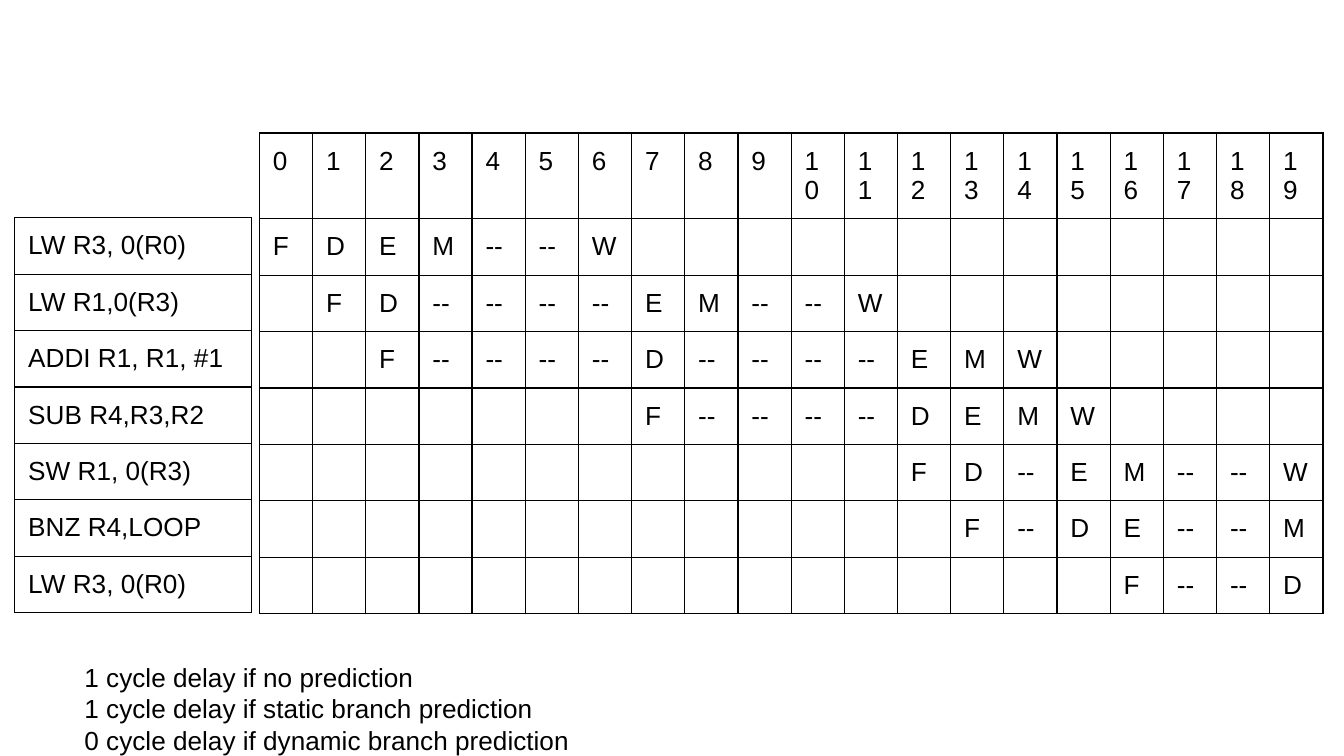
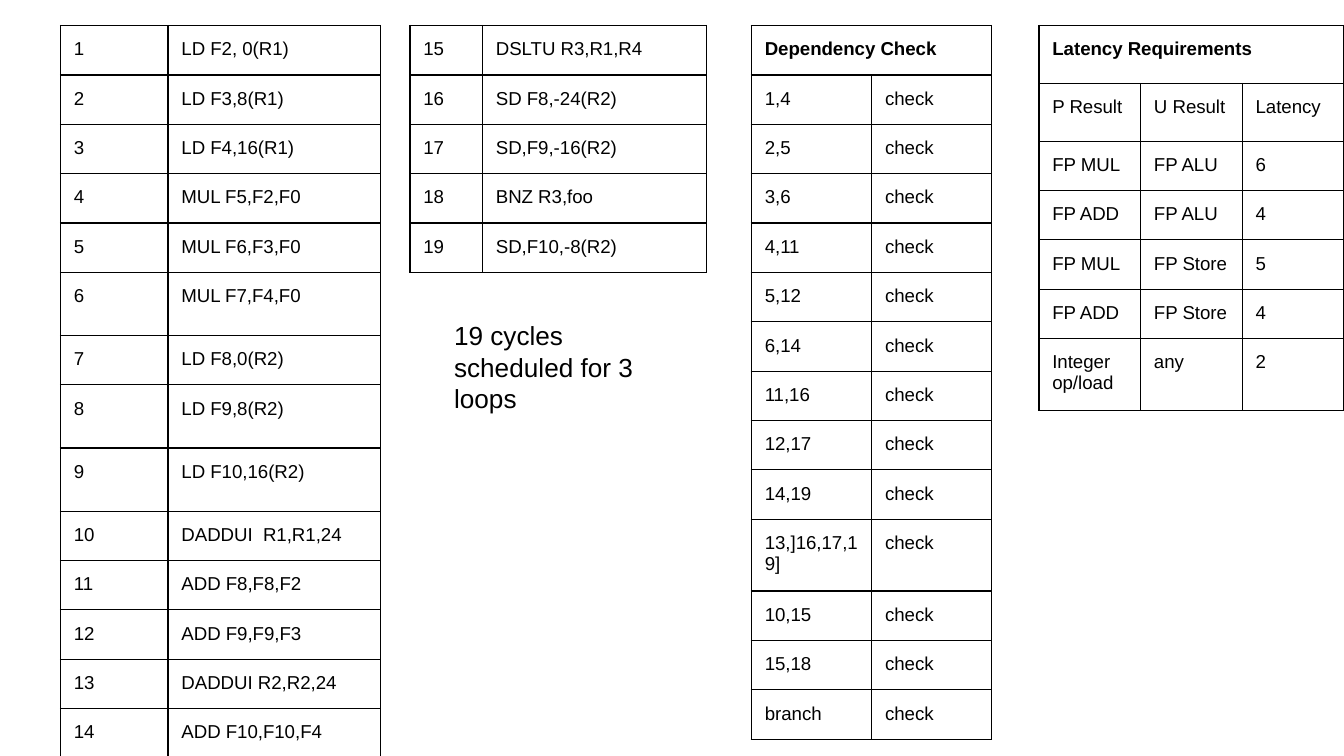
from lxml.etree import SubElement
from pptx import Presentation
from pptx.dml.color import RGBColor
from pptx.oxml import parse_xml
from pptx.oxml.ns import nsdecls, qn
from pptx.util import Inches, Pt

FONT = "Arial"
BLACK = "000000"
MARGIN = 0.1
BORDER = Pt(0.75)
TOP = 0.19
CYCLES = 20
PAGE_WIDTH = 10
PAGE_HEIGHT = PAGE_WIDTH * 9 / 16

# Instruction, first cycle, stage in each cycle from there on
PIPELINE = [
    ("LW R3, 0(R0)", 0, "F D E M -- -- W"),
    ("LW R1,0(R3)", 1, "F D -- -- -- -- E M -- -- W"),
    ("ADDI R1, R1, #1", 2, "F -- -- -- -- D -- -- -- -- E M W"),
    ("SUB R4,R3,R2", 7, "F -- -- -- -- D E M W"),
    ("SW R1, 0(R3)", 12, "F D -- E M -- -- W"),
    ("BNZ R4,LOOP", 13, "F -- D E -- -- M"),
    ("LW R3, 0(R0)", 16, "F -- -- D"),
]
PREDICTIONS = [
    "1 cycle delay if no prediction",
    "1 cycle delay if static branch prediction",
    "0 cycle delay if dynamic branch prediction",
]
SCHEDULE = [
    "LD F2, 0(R1)", "LD F3,8(R1)", "LD F4,16(R1)",
    "MUL F5,F2,F0", "MUL F6,F3,F0", "MUL F7,F4,F0",
    "LD F8,0(R2)", "LD F9,8(R2)", "LD F10,16(R2)",
    "DADDUI  R1,R1,24", "ADD F8,F8,F2", "ADD F9,F9,F3",
    "DADDUI R2,R2,24", "ADD F10,F10,F4", "DSLTU R3,R1,R4",
    "SD F8,-24(R2)", "SD,F9,-16(R2)", "BNZ R3,foo", "SD,F10,-8(R2)",
]
FIRST_PART = 14
TALL_STEPS = (6, 8, 9)
DEPENDENCIES = [
    "1,4", "2,5", "3,6", "4,11", "5,12", "6,14", "11,16", "12,17",
    "14,19", "13,]16,17,19]", "10,15", "15,18", "branch",
]
LATENCIES = [
    ["P Result", "U Result", "Latency"],
    ["FP MUL", "FP ALU", "6"],
    ["FP ADD", "FP ALU", "4"],
    ["FP MUL", "FP Store", "5"],
    ["FP ADD", "FP Store", "4"],
    ["Integer op/load", "any", "2"],
]


def rgb(value):
    return RGBColor.from_string(value)


def format_text(paragraph, size, bold=False):
    for span in paragraph.runs:
        span.font.name = FONT
        span.font.size = Pt(size)
        span.font.bold = bold
        span.font.color.rgb = rgb(BLACK)
    # The paragraph end takes part in the row height, above all in empty cells
    end = SubElement(paragraph._p, qn("a:endParaRPr"), sz=str(size * 100))
    for script in ("latin", "ea", "cs"):
        SubElement(end, qn(f"a:{script}"), typeface=FONT)


def set_margins(holder):
    for side in ("left", "right", "top", "bottom"):
        setattr(holder, f"margin_{side}", Inches(MARGIN))


def outline_cell(cell):
    properties = cell._tc.get_or_add_tcPr()
    for position, side in enumerate("LRTB"):
        properties.insert(position, parse_xml(
            f'<a:ln{side} {nsdecls("a")} w="{BORDER}"><a:solidFill>'
            f'<a:srgbClr val="{BLACK}"/></a:solidFill></a:ln{side}>'))


def format_cell(cell, text, size, bold):
    set_margins(cell)
    cell.fill.background()
    outline_cell(cell)
    cell.text_frame.text = text
    format_text(cell.text_frame.paragraphs[0], size, bold)


def add_grid(page, left, top, columns, heights, rows, size, headed=False):
    """Add an outlined table; with headed, the first row is one bold merged cell."""
    frame = page.shapes.add_table(
        len(rows), len(columns), Inches(left), Inches(top),
        Inches(sum(columns)), Inches(sum(heights)))
    table = frame.table
    table.first_row = table.horz_banding = False
    for column, width in zip(table.columns, columns):
        column.width = Inches(width)
    for index, (row, height, texts) in enumerate(zip(table.rows, heights, rows)):
        row.height = Inches(height)
        for cell, text in zip(row.cells, texts):
            format_cell(cell, text, size, headed and index == 0)
    if headed:
        table.cell(0, 0).merge(table.cell(0, len(columns) - 1))


def add_note(page, left, top, width, height, lines):
    box = page.shapes.add_textbox(
        Inches(left), Inches(top), Inches(width), Inches(height))
    frame = box.text_frame
    frame.word_wrap = True
    set_margins(frame)
    frame.text = "\n".join(lines)
    for para in frame.paragraphs:
        format_text(para, 14)


def stage_row(start, stages):
    row = [""] * start + stages.split()
    return row + [""] * (CYCLES - len(row))


def build_pipeline(page):
    row_height = 0.42
    labels = [[label] for label, _, _ in PIPELINE]
    add_grid(page, 0.11, 1.62, [1.76], [row_height] * len(labels), labels, 14)
    timing = [[str(cycle) for cycle in range(CYCLES)]]
    timing += [stage_row(start, stages) for _, start, stages in PIPELINE]
    add_grid(page, 1.93, 0.99, [7.92 / CYCLES] * CYCLES,
             [row_height] * len(timing), timing, 14)
    add_note(page, 0.53, 4.82, 5.23, 0.73, PREDICTIONS)


def build_schedule(page):
    steps = [[str(number), code] for number, code in enumerate(SCHEDULE, 1)]
    heights = [0.47 if number in TALL_STEPS else 0.36
               for number in range(1, FIRST_PART + 1)]
    add_grid(page, 0.45, TOP, [0.8, 1.58], heights, steps[:FIRST_PART], 10)
    rest = steps[FIRST_PART:]
    add_grid(page, 3.05, TOP, [0.54, 1.67], [0.35] * len(rest), rest, 10)

    latencies = [["Latency Requirements", "", ""]] + LATENCIES
    add_grid(page, 7.73, TOP, [2.27 / 3] * 3,
             [0.43] * 2 + [0.28] * 4 + [0.43], latencies, 10, headed=True)
    checks = [["Dependency Check", ""]]
    checks += [[pair, "check"] for pair in DEPENDENCIES]
    add_grid(page, 5.59, TOP, [1.79 / 2] * 2, [0.29] * len(checks),
             checks, 10, headed=True)
    add_note(page, 3.28, 2.28, 1.75, 0.92, ["19 cycles scheduled for 3 loops"])


def main():
    deck = Presentation()
    deck.slide_width, deck.slide_height = Inches(PAGE_WIDTH), Inches(PAGE_HEIGHT)
    blank = deck.slide_layouts[6]
    for build in (build_pipeline, build_schedule):
        build(deck.slides.add_slide(blank))
    deck.save("out.pptx")


if __name__ == "__main__":
    main()
